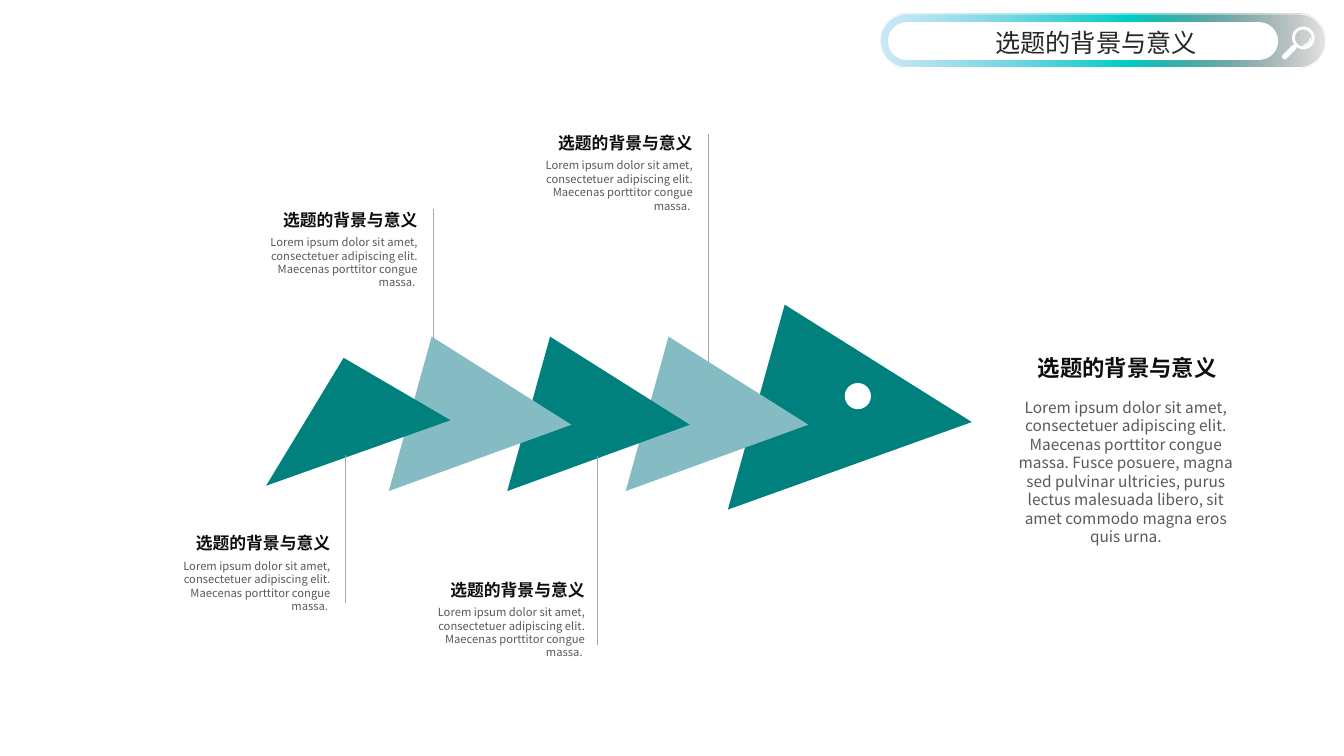
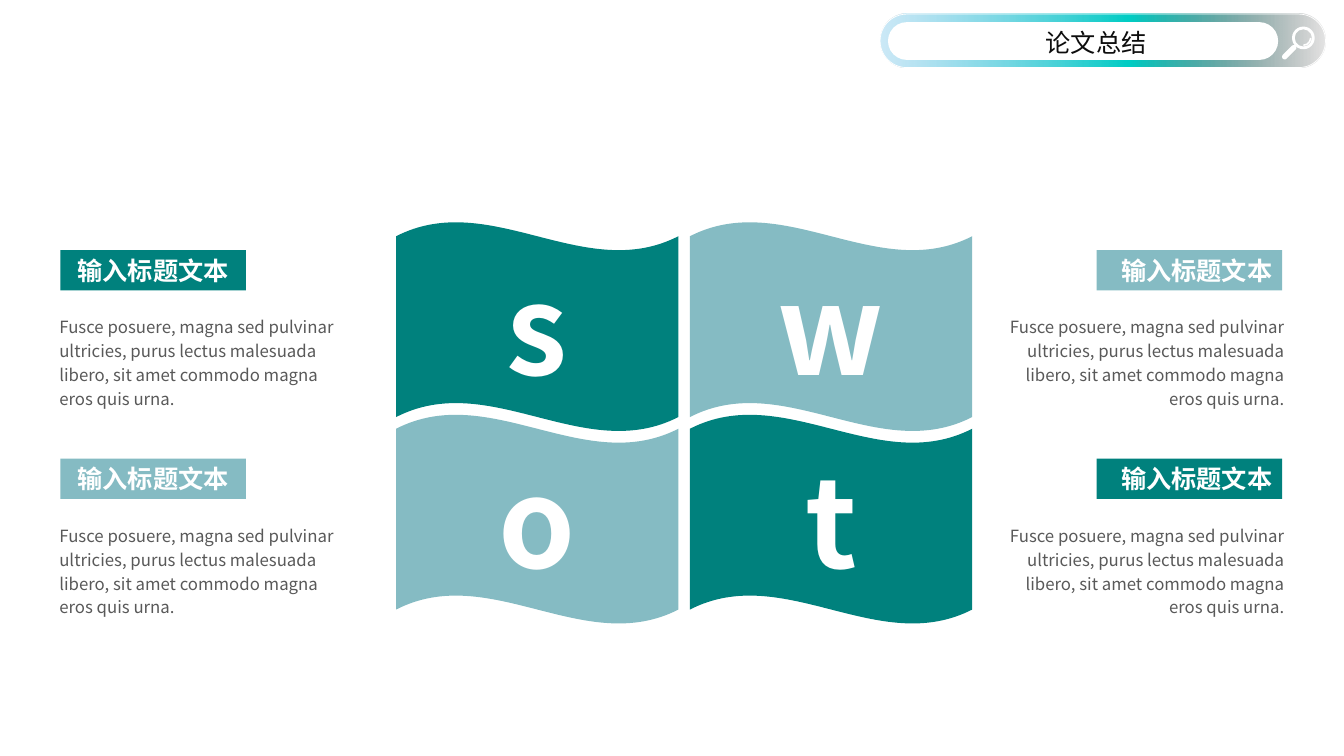
"""Build a fishbone slide and a SWOT slide that share a search-bar title."""
from dataclasses import dataclass

from lxml.etree import SubElement
from pptx import Presentation
from pptx.dml.color import RGBColor
from pptx.enum.shapes import MSO_CONNECTOR, MSO_SHAPE
from pptx.enum.text import MSO_ANCHOR, MSO_AUTO_SIZE, PP_ALIGN
from pptx.oxml.ns import qn
from pptx.util import Pt

FONT = "Noto Sans CJK SC"
TEAL, PALE, WHITE = "00817D", "85BBC3", "FFFFFF"
INK, GREY, RULE = "0D0D0D", "595959", "A6A6A6"
BAR_STOPS = [(0, "000000", 10), (44, "00CDC4", 100), (100, "5EBAE6", 31)]
LEFT, CENTER, RIGHT = PP_ALIGN.LEFT, PP_ALIGN.CENTER, PP_ALIGN.RIGHT
TOPIC = "选题的背景与意义"
TAG = "输入标题文本"
LOREM = "Lorem ipsum dolor sit amet, consectetuer adipiscing elit. Maecenas porttitor congue massa. "
FUSCE = ("Fusce posuere, magna sed pulvinar ultricies, purus lectus malesuada libero, "
         "sit amet commodo magna eros quis urna.")


@dataclass
class Callout:
    right: float
    top: float
    line_x: float
    line_top: float
    line_bottom: float


@dataclass
class Fin:
    left: float
    top: float
    width: float
    height: float
    color: str


@dataclass
class Quadrant:
    letter: str
    col: int
    row: int
    color: str


UPPER = [Callout(501.8, 91.4, 506.2, 95.8, 262.1), Callout(305.3, 146.2, 309.6, 149, 254.9)]
LOWER = [Callout(243, 377.3, 247, 324.7, 430.6), Callout(424.8, 410.4, 427, 325.4, 460.8)]
FINS = [Fin(537.1, 235.4, 151.9, 151.2, TEAL)] + [
    Fin(290.2 + 84.6 * i, 254.2, 114.5, 113, color)
    for i, color in ((2, PALE), (1, TEAL), (0, PALE))]
TAIL = [(245.5, 255.6), (321.8, 300.2), (190.1, 347)]
QUADRANTS = [Quadrant("s", 0, 0, TEAL), Quadrant("w", 1, 0, PALE),
             Quadrant("o", 0, 1, PALE), Quadrant("t", 1, 1, TEAL)]


def rgb(color: str) -> RGBColor:
    """Turn a hex string into a colour."""
    return RGBColor.from_string(color)


def write(sp, text: str, size: float, color: str, bold: bool = False,
          align=CENTER, anchor=MSO_ANCHOR.MIDDLE, wrap: bool = True, spacing=None) -> None:
    """Put one formatted paragraph into a shape."""
    tf = sp.text_frame
    tf.word_wrap = wrap
    tf.vertical_anchor = anchor
    p = tf.paragraphs[0]
    p.alignment = align
    if spacing:
        p.line_spacing = Pt(spacing)
    r = p.add_run()
    r.text = text
    r.font.size = Pt(size)
    r.font.bold = bold
    r.font.color.rgb = rgb(color)
    r.font.name = FONT
    SubElement(r.font._element, qn("a:ea"), typeface=FONT)


def add_text(s, text: str, x: float, y: float, w: float, h: float, **fmt) -> None:
    """Add a text box that grows with its text."""
    sp = s.shapes.add_textbox(Pt(x), Pt(y), Pt(w), Pt(h))
    write(sp, text, **fmt)
    sp.text_frame.auto_size = MSO_AUTO_SIZE.SHAPE_TO_FIT_TEXT


def paint(sp, color: str) -> None:
    """Give a shape a flat fill with no outline or shadow."""
    sp.shadow.inherit = False
    sp.fill.solid()
    sp.fill.fore_color.rgb = rgb(color)
    sp.line.fill.background()


def add_shape(s, kind, x: float, y: float, w: float, h: float, color: str = WHITE,
              adj: tuple = (), rotation: float = 0):
    """Add a flat preset shape."""
    sp = s.shapes.add_shape(kind, Pt(x), Pt(y), Pt(w), Pt(h))
    paint(sp, color)
    for i, value in enumerate(adj):
        sp.adjustments[i] = value
    sp.rotation = rotation
    return sp


def add_rule(s, x: float, top: float, bottom: float) -> None:
    """Add a thin vertical line."""
    ln = s.shapes.add_connector(MSO_CONNECTOR.STRAIGHT, Pt(x), Pt(top), Pt(x), Pt(bottom))
    ln.line.color.rgb = rgb(RULE)
    ln.line.width = Pt(0.75)
    SubElement(ln._element.spPr, qn("a:effectLst"))


def set_gradient(sp, stops: list) -> None:
    """Fill a shape from right to left with translucent stops."""
    sp.fill.gradient()
    sp.fill.gradient_angle = 180
    gs_list = sp._element.spPr.find(qn("a:gradFill")).find(qn("a:gsLst"))
    for gs in list(gs_list):
        gs_list.remove(gs)
    for pos, color, alpha in stops:
        gs = SubElement(gs_list, qn("a:gs"), pos=str(pos * 1000))
        clr = SubElement(gs, qn("a:srgbClr"), val=color)
        SubElement(clr, qn("a:alpha"), val=str(alpha * 1000))


def add_title(s, text: str, color: str) -> None:
    """Draw the search bar with its magnifier and title."""
    bar = add_shape(s, MSO_SHAPE.ROUNDED_RECTANGLE, 628.6, 10.1, 318.2, 38.2, adj=(0.5,))
    set_gradient(bar, BAR_STOPS)
    bar.line.color.rgb = rgb(WHITE)
    bar.line.width = Pt(0.5)
    add_shape(s, MSO_SHAPE.ROUNDED_RECTANGLE, 634.3, 15.8, 278.7, 27, adj=(0.5,))
    add_shape(s, MSO_SHAPE.ROUNDED_RECTANGLE, 914.4, 35.4, 13, 3.8, adj=(0.5,), rotation=-45)
    add_shape(s, MSO_SHAPE.DONUT, 922.9, 19, 16.2, 16.2, adj=(0.12,))
    add_shape(s, MSO_SHAPE.BLOCK_ARC, 925.2, 21.3, 11.6, 11.6, adj=(0, 54, 0.1))
    add_text(s, text, 703, 15.8, 160, 28.8, size=18, color=color,
             anchor=MSO_ANCHOR.TOP, wrap=False)


def add_callout(s, c: Callout) -> None:
    """Draw a rule with a heading and a short text to its left."""
    add_rule(s, c.line_x, c.line_top, c.line_bottom)
    add_text(s, TOPIC, c.right - 111.6, c.top, 111.6, 21.6, size=12, color=INK,
             bold=True, align=RIGHT, wrap=False)
    add_text(s, LOREM, c.right - 139.7, c.top + 18.5, 140, 36, size=8, color=GREY,
             align=RIGHT, anchor=MSO_ANCHOR.TOP)


def build_fishbone(s) -> None:
    """Draw the fish of triangles with its callouts."""
    add_title(s, TOPIC, "262626")
    for c in UPPER:
        add_callout(s, c)
    for f in FINS:
        add_shape(s, MSO_SHAPE.ISOSCELES_TRIANGLE, f.left, f.top, f.width, f.height,
                  f.color, adj=(0.297,), rotation=105.5)
    (x, y), *rest = [(Pt(px), Pt(py)) for px, py in TAIL]
    fb = s.shapes.build_freeform(x, y)
    fb.add_line_segments(rest, close=True)
    paint(fb.convert_to_shape(), TEAL)
    add_shape(s, MSO_SHAPE.OVAL, 603.4, 273.6, 18.7, 18.7)
    for c in LOWER:
        add_callout(s, c)
    add_text(s, LOREM + FUSCE, 716.4, 280.8, 175.7, 100.8, size=11, color=GREY,
             anchor=MSO_ANCHOR.TOP)
    add_text(s, TOPIC, 732.2, 249.1, 144, 26.6, size=16, color=INK, bold=True,
             align=RIGHT, wrap=False)


def add_quadrant(s, q: Quadrant) -> None:
    """Draw a wave with its letter, and its tag and text at the side."""
    wave = add_shape(s, MSO_SHAPE.WAVE, 283 + 209.9 * q.col, 158.4 + 137.5 * q.row,
                     201.6, 149.8, q.color, adj=(0.069, 0))
    write(wave, q.letter, size=88, color=WHITE, bold=True)
    top = 178.6 + 149 * q.row
    tag = add_shape(s, MSO_SHAPE.RECTANGLE, (43.2, 783.4)[q.col], top, 132.5, 28.8, q.color)
    write(tag, TAG, size=18, color=WHITE, bold=True, align=(CENTER, RIGHT)[q.col])
    add_text(s, FUSCE, (35.3, 709.9)[q.col], top + 41.8, 214.6, 57.6, size=12, color=GREY,
             align=(LEFT, RIGHT)[q.col], anchor=MSO_ANCHOR.TOP, spacing=17)


def build_swot(s) -> None:
    """Draw the four SWOT quadrants."""
    add_title(s, "论文总结", INK)
    for q in QUADRANTS:
        add_quadrant(s, q)


def main() -> None:
    """Build and save the presentation."""
    prs = Presentation()
    prs.slide_width, prs.slide_height = Pt(960), Pt(540)
    for build in (build_fishbone, build_swot):
        build(prs.slides.add_slide(prs.slide_layouts[6]))
    prs.save("out.pptx")


if __name__ == "__main__":
    main()
